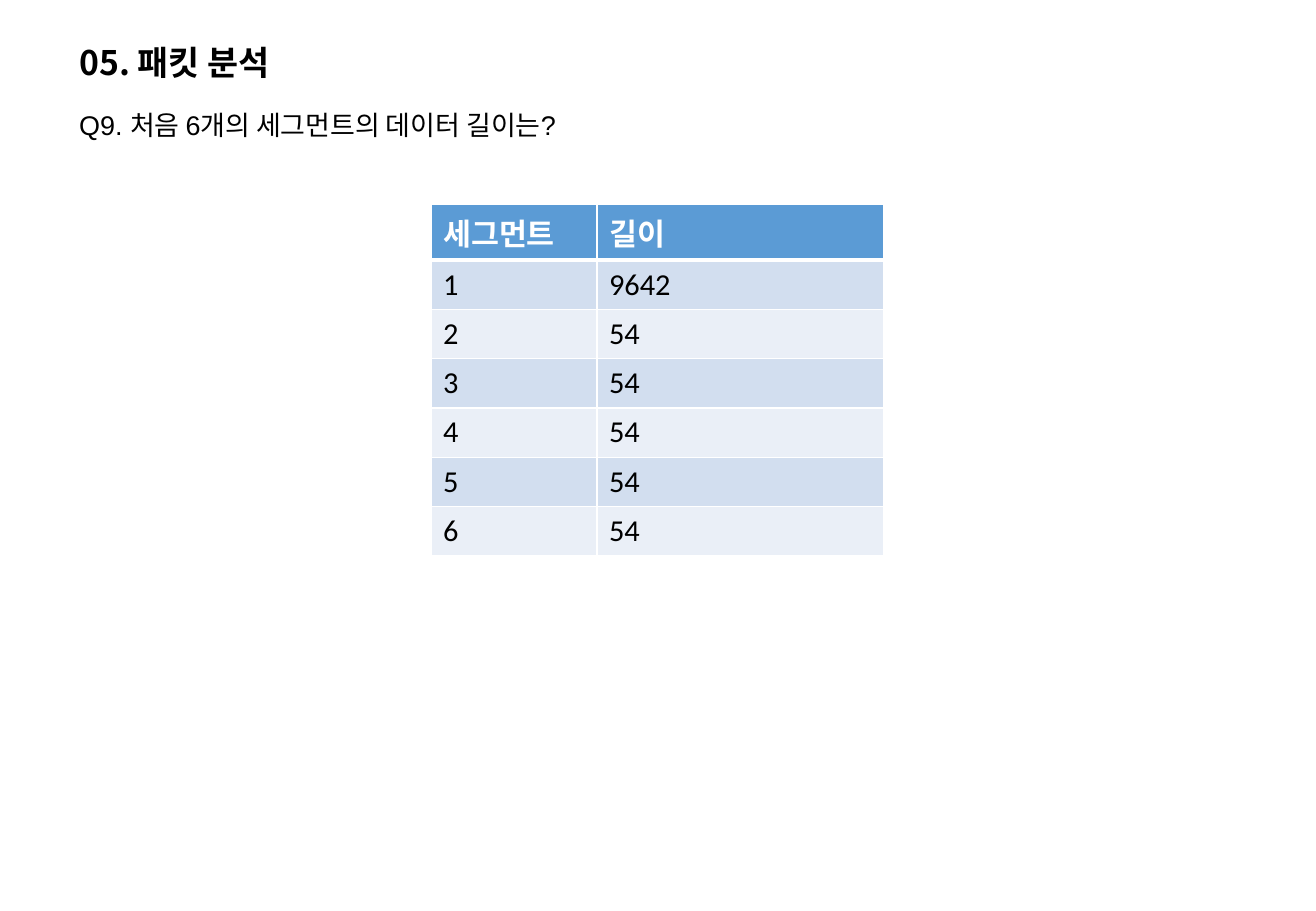
from lxml import etree
from pptx import Presentation
from pptx.dml.color import RGBColor
from pptx.enum.text import MSO_ANCHOR, MSO_AUTO_SIZE
from pptx.oxml.ns import qn
from pptx.util import Emu, Pt

TOP, NONE = MSO_ANCHOR.TOP, MSO_AUTO_SIZE.NONE
SCALE = 7526  # EMU per px
KOREAN = "Noto Sans CJK KR"
WHITE, BLACK = "FFFFFF", "000000"
HEAD, BANDS = "5B9BD5", ("D2DEEF", "EAEFF7")
COLS, ROW = (166, 287), 49
SIZES = [9642] + [54] * 5
ROWS = [("세그먼트", "길이")] + [(str(n), str(size)) for n, size in enumerate(SIZES, 1)]


def px(n):
    return Emu(n * SCALE)


def color(code):
    return RGBColor.from_string(code)


def write(frame, text, ink, **form):
    """Put one formatted run into a text frame."""
    par = frame.paragraphs[0]
    run = par.add_run()
    run.text = text
    for key, value in form.items():
        setattr(run.font, key, value)
    run.font.color.rgb = color(ink)
    etree.SubElement(run.font._element, qn("a:ea"), typeface=KOREAN)
    return par


def place(holder, box, text, **form):
    """Move a placeholder and fill it with plain left-aligned text."""
    for key, value in zip(("left", "top", "width", "height"), box):
        setattr(holder, key, px(value))
    frame = holder.text_frame
    for key, value in {"word_wrap": True, "auto_size": NONE, "vertical_anchor": TOP}.items():
        setattr(frame, key, value)
    par = write(frame, text, BLACK, **form)
    par.space_before = Pt(0)
    props = par._p.get_or_add_pPr()
    for key, value in {"marL": "0", "indent": "0", "algn": "l"}.items():
        props.set(key, value)
    etree.SubElement(props, qn("a:buNone"))


def edge(cell, base):
    """Draw white cell borders; base is the bottom width in points."""
    props = cell._tc.get_or_add_tcPr()
    widths = {"lnL": 1, "lnR": 1, "lnT": 1, "lnB": base}
    for spot, (tag, width) in enumerate(widths.items()):
        line = etree.Element(qn("a:" + tag), w=str(Pt(width)))
        fill = etree.SubElement(line, qn("a:solidFill"))
        etree.SubElement(fill, qn("a:srgbClr"), val=WHITE)
        props.insert(spot, line)


def grid(slide, left, top):
    """Build the table of segment lengths."""
    table = slide.shapes.add_table(
        len(ROWS), len(COLS), px(left), px(top), px(sum(COLS)), px(ROW * len(ROWS))
    ).table
    for col, width in zip(table.columns, COLS):
        col.width = px(width)
    for r, row in enumerate(ROWS):
        table.rows[r].height = px(ROW)
        first = r == 0
        for c, text in enumerate(row):
            cell = table.cell(r, c)
            cell.fill.solid()
            cell.fill.fore_color.rgb = color(HEAD if first else BANDS[(r - 1) % 2])
            edge(cell, 3 if first else 1)
            write(cell.text_frame, text, WHITE if first else BLACK,
                  name="Calibri", size=Pt(18), bold=first)


def main():
    deck = Presentation()
    deck.slide_width, deck.slide_height = px(1316), px(911)
    slide = deck.slides.add_slide(deck.slide_layouts[1])
    title, body = slide.placeholders
    # Heading and question
    place(title, (67, 36, 646, 54), "05. 패킷 분석", name=KOREAN, size=Pt(20), bold=True)
    place(body, (67, 102, 1157, 74), "Q9. 처음 6개의 세그먼트의 데이터 길이는?",
          name="Arial", size=Pt(16))
    # Segment lengths
    grid(slide, 431, 204)
    deck.save("out.pptx")


if __name__ == "__main__":
    main()
